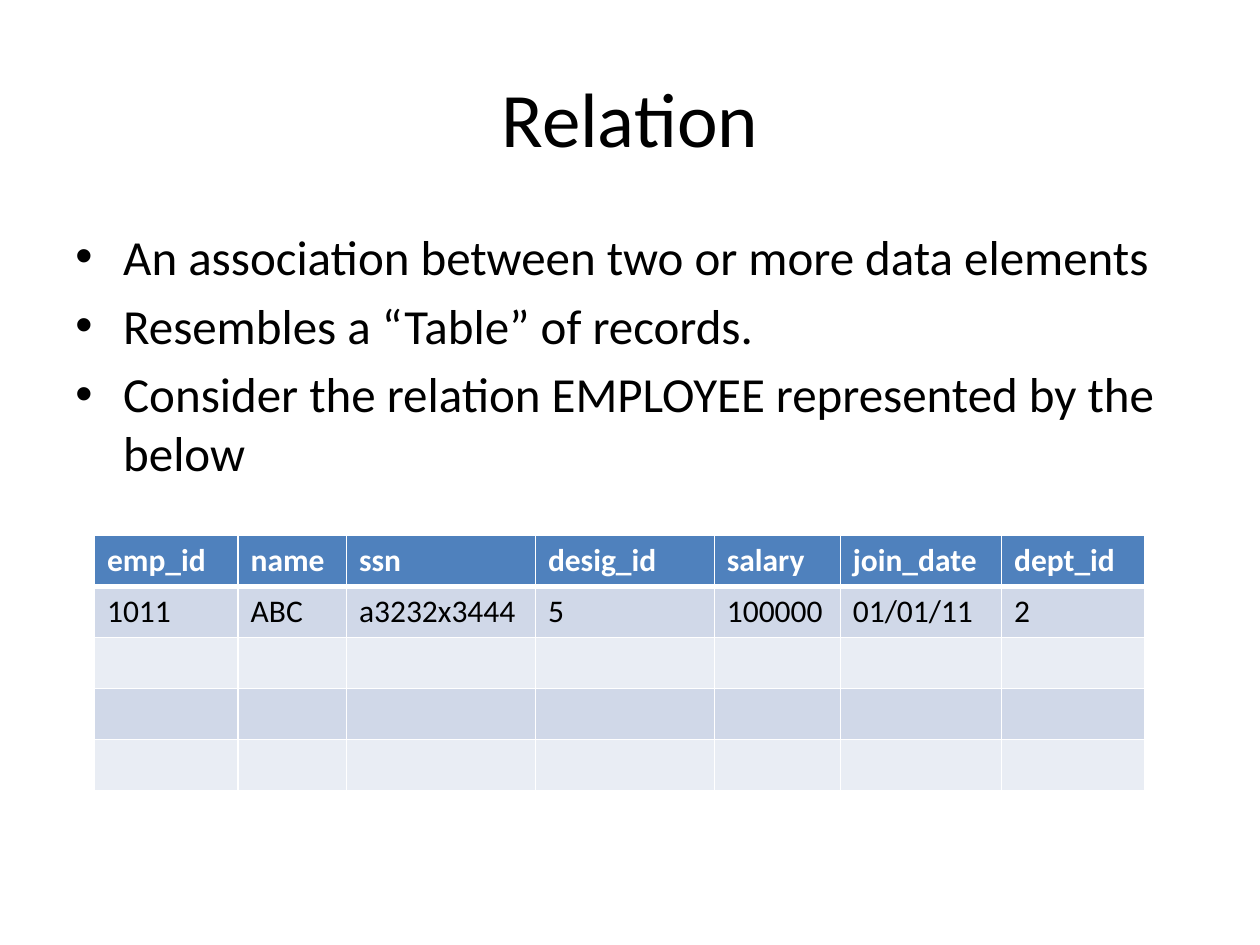
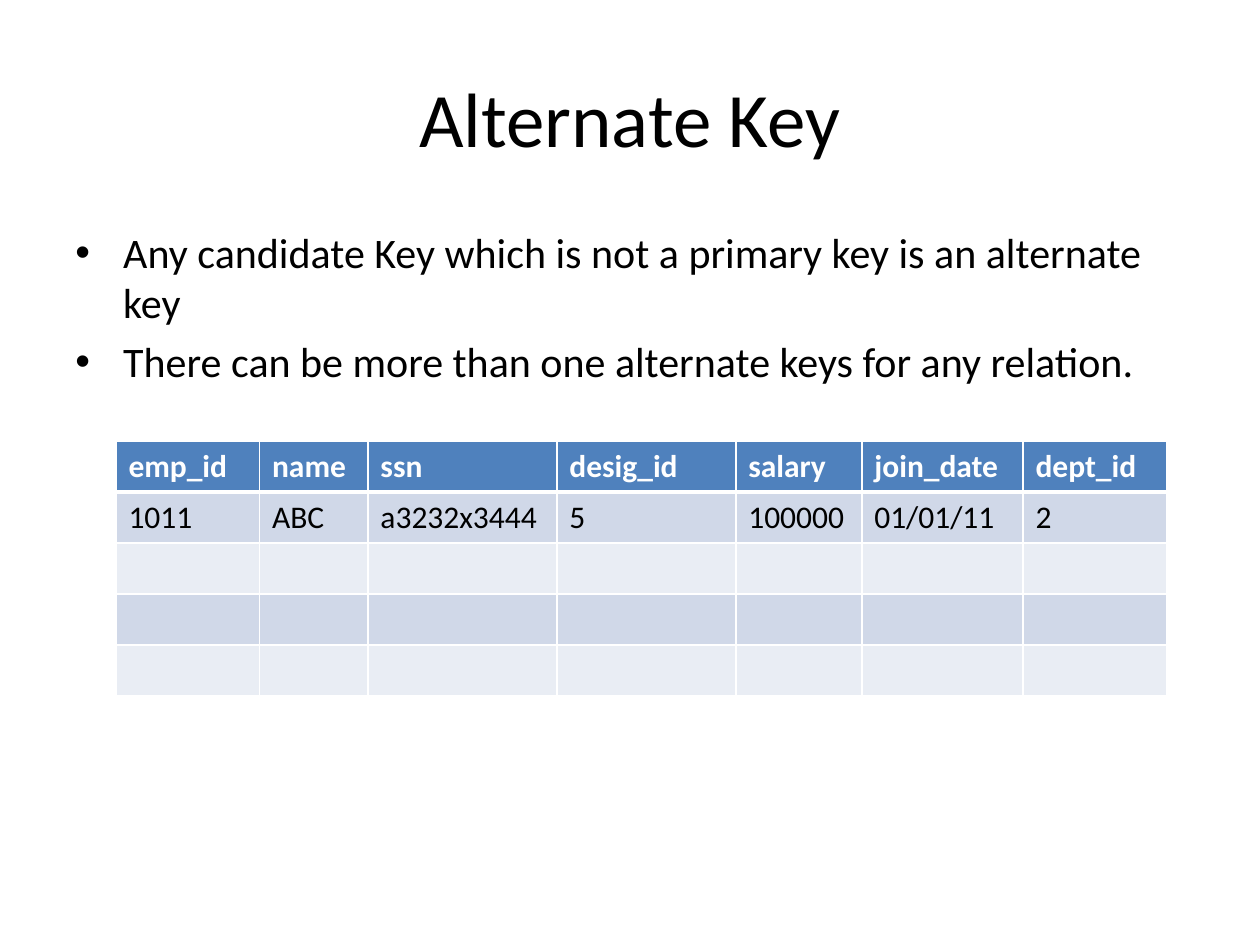
from lxml import etree
from pptx import Presentation, util as u
from pptx.dml.color import RGBColor
from pptx.enum import text
from pptx.oxml.ns import qn

WIDTH, HEIGHT = u.Inches(10), u.Inches(7.5)
FONT = "Calibri"
BLACK, WHITE = "000000", "FFFFFF"
HEADER_FILL = "4F81BD"
BAND_FILLS = ("D0D8E8", "E9EDF4")
INDENT = u.Inches(0.38)

COLUMN_INCHES = (1.14, 0.86, 1.5, 1.42, 1, 1.28, 1.14)
ROW_HEIGHT = u.Inches(0.405)
ROW_COUNT = 5
EMPLOYEE = (
    ("emp_id", "name", "ssn", "desig_id", "salary", "join_date", "dept_id"),
    ("1011", "ABC", "a3232x3444", "5", "100000", "01/01/11", "2"),
)


def color(hex_code):
    return RGBColor.from_string(hex_code)


def share(left, top, width, height):
    return (int(WIDTH * left), int(HEIGHT * top),
            int(WIDTH * width), int(HEIGHT * height))


def set_font(para, size, hex_code=BLACK, bold=False):
    para.font.name = FONT
    para.font.size = u.Pt(size)
    para.font.bold = bold
    para.font.color.rgb = color(hex_code)


def add_title(page, words):
    title = page.shapes.title
    title.left, title.top, title.width, title.height = share(0.05, 0.04, 0.9, 1 / 6)
    title.text_frame.text = words
    title.text_frame.vertical_anchor = text.MSO_ANCHOR.MIDDLE
    para = title.text_frame.paragraphs[0]
    para.alignment = text.PP_ALIGN.CENTER
    set_font(para, 44)


def add_bullet(para):
    properties = para._p.get_or_add_pPr()
    properties.set("marL", str(INDENT))
    properties.set("indent", str(-INDENT))
    etree.SubElement(properties, qn("a:buFont"), typeface="Arial")
    etree.SubElement(properties, qn("a:buChar"), char="•")


def add_bullets(page, lines, size):
    box = page.shapes.add_textbox(*share(0.05, 0.233, 0.9, 0.66))
    frame = box.text_frame
    frame.word_wrap = True
    frame.text = "\n".join(lines)
    for para in frame.paragraphs:
        para.space_before = u.Pt(0.2 * size)
        add_bullet(para)
        set_font(para, size)


def set_borders(cell, top, bottom):
    properties = cell._tc.get_or_add_tcPr()
    sides = (("a:lnL", 1), ("a:lnR", 1), ("a:lnT", top), ("a:lnB", bottom))
    for place, (side, points) in enumerate(sides):
        line = etree.Element(qn(side), w=str(u.Pt(points)))
        fill = etree.SubElement(line, qn("a:solidFill"))
        etree.SubElement(fill, qn("a:srgbClr"), val=WHITE)
        properties.insert(place, line)


def add_employee_table(page, left, top):
    place = share(left, top, sum(COLUMN_INCHES) / 10, 0)
    frame = page.shapes.add_table(ROW_COUNT, len(COLUMN_INCHES), *place[:3],
                                  ROW_HEIGHT * ROW_COUNT)
    table = frame.table
    for column, inches in zip(table.columns, COLUMN_INCHES):
        column.width = u.Inches(inches)
    for number, row in enumerate(table.rows):
        row.height = ROW_HEIGHT
        header = number == 0
        for position, cell in enumerate(row.cells):
            if number < len(EMPLOYEE):
                cell.text = EMPLOYEE[number][position]
            cell.fill.solid()
            cell.fill.fore_color.rgb = color(
                HEADER_FILL if header else BAND_FILLS[(number - 1) % 2])
            set_borders(cell, 3 if number == 1 else 1, 3 if header else 1)
            set_font(cell.text_frame.paragraphs[0], 18,
                     WHITE if header else BLACK, header)


def add_page(deck, title, lines, size, table_left, table_top):
    page = deck.slides.add_slide(deck.slide_layouts.get_by_name("Title Only"))
    add_title(page, title)
    add_bullets(page, lines, size)
    add_employee_table(page, table_left, table_top)


def main():
    deck = Presentation()
    deck.slide_width, deck.slide_height = WIDTH, HEIGHT
    add_page(deck, "Relation", (
        "An association between two or more data elements",
        "Resembles a “Table” of records.",
        "Consider the relation EMPLOYEE represented by the below",
    ), 28, 0.075, 4.25 / 7.5)
    add_page(deck, "Alternate Key", (
        "Any candidate Key which is not a primary key is an alternate key",
        "There can be more than one alternate keys for any relation.",
    ), 24, 0.092, 3.5 / 7.5)
    deck.save("out.pptx")


if __name__ == "__main__":
    main()
